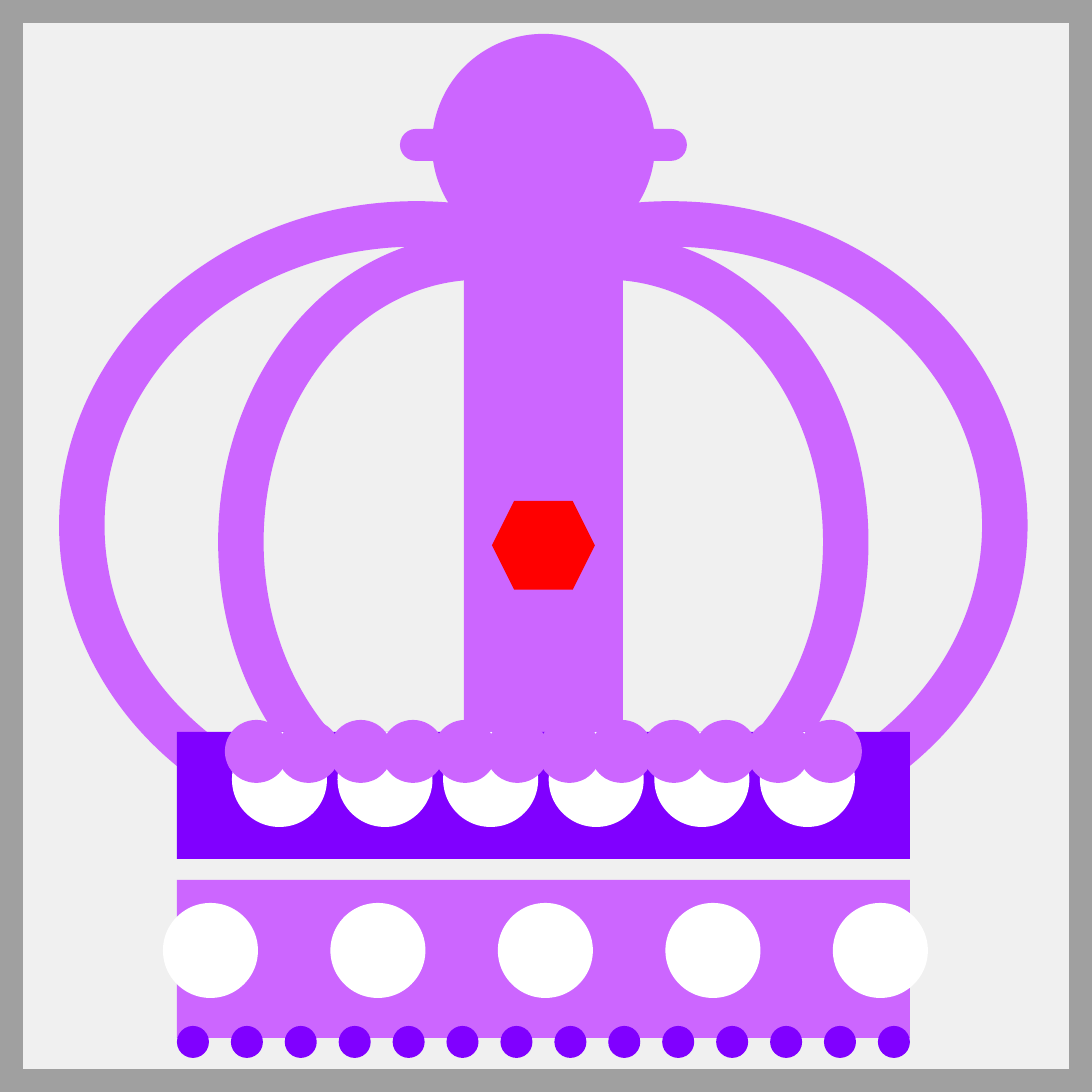
from collections import namedtuple
from dataclasses import dataclass

from pptx import Presentation
from pptx.dml.color import RGBColor
from pptx.enum.shapes import MSO_SHAPE
from pptx.util import Emu, Pt

SCALE = 914400 / 273
SIDE = 1092

Box = namedtuple("Box", "left top width height")


@dataclass(frozen=True)
class Theme:
    backdrop: str = "F0F0F0"
    lilac: str = "CC66FF"
    violet: str = "8000FF"
    pearl: str = "FFFFFF"
    ruby: str = "FF0000"
    frame: str = "A0A0A0"
    stroke: int = 12


THEME = Theme()


def emu(pixels):
    return Emu(round(pixels * SCALE))


def inside(region, left, top, width, height):
    return Box(region.left + left, region.top + top, width, height)


def draw(target, kind, box, fill=None, line=None, adjustments=()):
    shape = target.shapes.add_shape(kind, *map(emu, box))
    shape.shadow.inherit = False
    for index, value in enumerate(adjustments):
        shape.adjustments[index] = value
    if fill:
        shape.fill.solid()
        shape.fill.fore_color.rgb = RGBColor.from_string(fill)
    else:
        shape.fill.background()
    if line:
        shape.line.color.rgb = RGBColor.from_string(line)
        shape.line.width = Pt(THEME.stroke)
    else:
        shape.line.fill.background()
    return shape


def draw_row(target, box, count, fill):
    step = (box.width - box.height) / (count - 1)
    for index in range(count):
        circle = Box(box.left + index * step, box.top, box.height, box.height)
        draw(target, MSO_SHAPE.OVAL, circle, fill=fill)


def draw_arch(target, region, left, top, width, height, start):
    mirrored_left = region.width - left - width
    for offset, flipped in ((left, False), (mirrored_left, True)):
        arch = draw(target, MSO_SHAPE.ARC, inside(region, offset, top, width, height),
                    line=THEME.lilac, adjustments=(start, 31.02))
        if flipped:
            arch._element.spPr.xfrm.set("flipH", "1")


def draw_dome(target, region):
    draw(target, MSO_SHAPE.OVAL, inside(region, 350, 0, 223, 222), fill=THEME.lilac)
    draw(target, MSO_SHAPE.ROUNDED_RECTANGLE, inside(region, 318, 95, 287, 32),
         fill=THEME.lilac, adjustments=(0.5,))
    draw(target, MSO_SHAPE.RECTANGLE, inside(region, 382, 95, 159, 633), fill=THEME.lilac)
    draw_arch(target, region, 287, 223, 477, 570, start=162.22)
    draw_arch(target, region, 254, 190, 669, 603, start=154.51)


def draw_band(target, region):
    draw(target, MSO_SHAPE.RECTANGLE, region, fill=THEME.violet)
    draw_row(target, inside(region, 55, 0, 623, 95), 6, THEME.pearl)
    draw_row(target, inside(region, 48, -12, 637, 63), 12, THEME.lilac)


def draw_base(target, region):
    draw(target, MSO_SHAPE.RECTANGLE, region, fill=THEME.lilac)
    draw_row(target, inside(region, -14, 23, 765, 95), 5, THEME.pearl)
    draw_row(target, inside(region, 0, 146, 733, 32), 14, THEME.violet)


def draw_crown(page):
    crown = page.shapes.add_group_shape()
    draw_dome(crown, Box(82, 34, 923, 793))
    draw_band(crown, Box(177, 732, 733, 127))
    draw_base(crown, Box(177, 880, 733, 158))
    draw(crown, MSO_SHAPE.HEXAGON, Box(492, 501, 103, 89), fill=THEME.ruby)
    draw(crown, MSO_SHAPE.RECTANGLE, Box(0, 0, SIDE, SIDE), line=THEME.frame)


deck = Presentation()
deck.slide_width = deck.slide_height = emu(SIDE)
page = deck.slides.add_slide(deck.slide_layouts[6])
page.background.fill.solid()
page.background.fill.fore_color.rgb = RGBColor.from_string(THEME.backdrop)
draw_crown(page)
deck.save("out.pptx")
